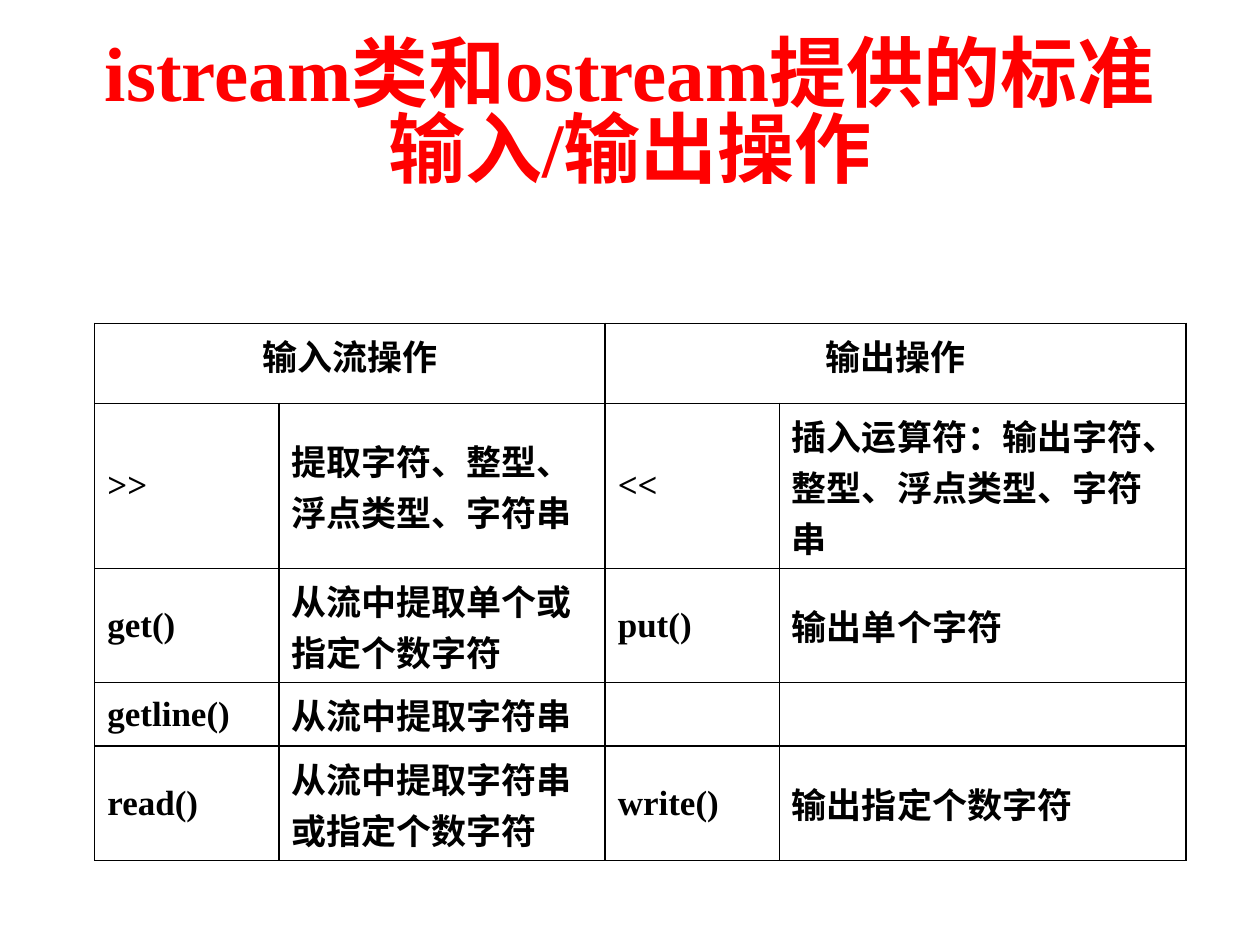
from lxml import etree
from pptx import Presentation
from pptx.dml.color import RGBColor
from pptx.enum import text
from pptx.oxml import ns
from pptx.util import Cm, Pt

LATIN_FONT = "Times New Roman"
CHINESE_FONT = "Noto Sans CJK SC"
COLUMN_WIDTHS = [3.71, 6.58, 3.51, 8.2]
ROW_HEIGHTS = [1.61, 3.33, 2.3, 1.27, 2.3]
ROWS = [
    ["输入流操作", "", "输出操作", ""],
    [">>", "提取字符、整型、浮点类型、字符串",
     "<<", "插入运算符：输出字符、整型、浮点类型、字符串"],
    ["get()", "从流中提取单个或指定个数字符", "put()", "输出单个字符"],
    ["getline()", "从流中提取字符串", "", ""],
    ["read()", "从流中提取字符串或指定个数字符", "write()", "输出指定个数字符"],
]


def color(value):
    return RGBColor.from_string(value)


def write_text(frame, content, size=20, shade="000000",
               align=text.PP_ALIGN.LEFT, spacing=None):
    para = frame.paragraphs[0]
    para.alignment = align
    para.line_spacing = spacing
    span = para.add_run()
    span.text = content
    span.font.size = Pt(size)
    span.font.bold = True
    span.font.name = LATIN_FONT
    span.font.color.rgb = color(shade)
    # East Asian typeface follows the Latin one
    east_asian = etree.Element(ns.qn("a:ea"), typeface=CHINESE_FONT)
    span.font._element.find(ns.qn("a:latin")).addnext(east_asian)


def add_borders(cell, shade="000000", width=1):
    properties = cell._tc.get_or_add_tcPr()
    for index, side in enumerate(("lnL", "lnR", "lnT", "lnB")):
        line = etree.Element(ns.qn(f"a:{side}"), w=str(Pt(width)))
        fill = etree.SubElement(line, ns.qn("a:solidFill"))
        etree.SubElement(fill, ns.qn("a:srgbClr"), val=shade)
        properties.insert(index, line)


def add_title(page, content):
    title = page.shapes.title
    title.left, title.top = Cm(1.27), Cm(0.76)
    title.width, title.height = Cm(22.86), Cm(3.18)
    frame = title.text_frame
    frame.auto_size = text.MSO_AUTO_SIZE.NONE
    frame.vertical_anchor = text.MSO_ANCHOR.MIDDLE
    write_text(frame, content, size=44, shade="FF0000",
               align=text.PP_ALIGN.CENTER, spacing=0.82)


def add_operations_table(page):
    table = page.shapes.add_table(
        len(ROWS), len(COLUMN_WIDTHS), Cm(1.91), Cm(6.52),
        Cm(sum(COLUMN_WIDTHS)), Cm(sum(ROW_HEIGHTS))).table
    table.first_row = table.horz_banding = False
    for column, width in zip(table.columns, COLUMN_WIDTHS):
        column.width = Cm(width)
    for row, height in zip(table.rows, ROW_HEIGHTS):
        row.height = Cm(height)

    # Each heading spans a name column and a description column
    for left in (0, 2):
        table.cell(0, left).merge(table.cell(0, left + 1))

    for row_index, contents in enumerate(ROWS):
        heading = row_index == 0
        align = text.PP_ALIGN.CENTER if heading else text.PP_ALIGN.LEFT
        anchor = text.MSO_ANCHOR.TOP if heading else text.MSO_ANCHOR.MIDDLE
        for column_index, content in enumerate(contents):
            cell = table.cell(row_index, column_index)
            cell.fill.solid()
            cell.fill.fore_color.rgb = color("FFFFFF")
            cell.vertical_anchor = anchor
            add_borders(cell)
            if content:
                write_text(cell.text_frame, content, align=align)


def main():
    deck = Presentation()
    deck.slide_width, deck.slide_height = Cm(25.4), Cm(19.05)
    page = deck.slides.add_slide(deck.slide_layouts[5])
    add_title(page, "istream类和ostream提供的标准输入/输出操作")
    add_operations_table(page)
    deck.save("out.pptx")


main()
